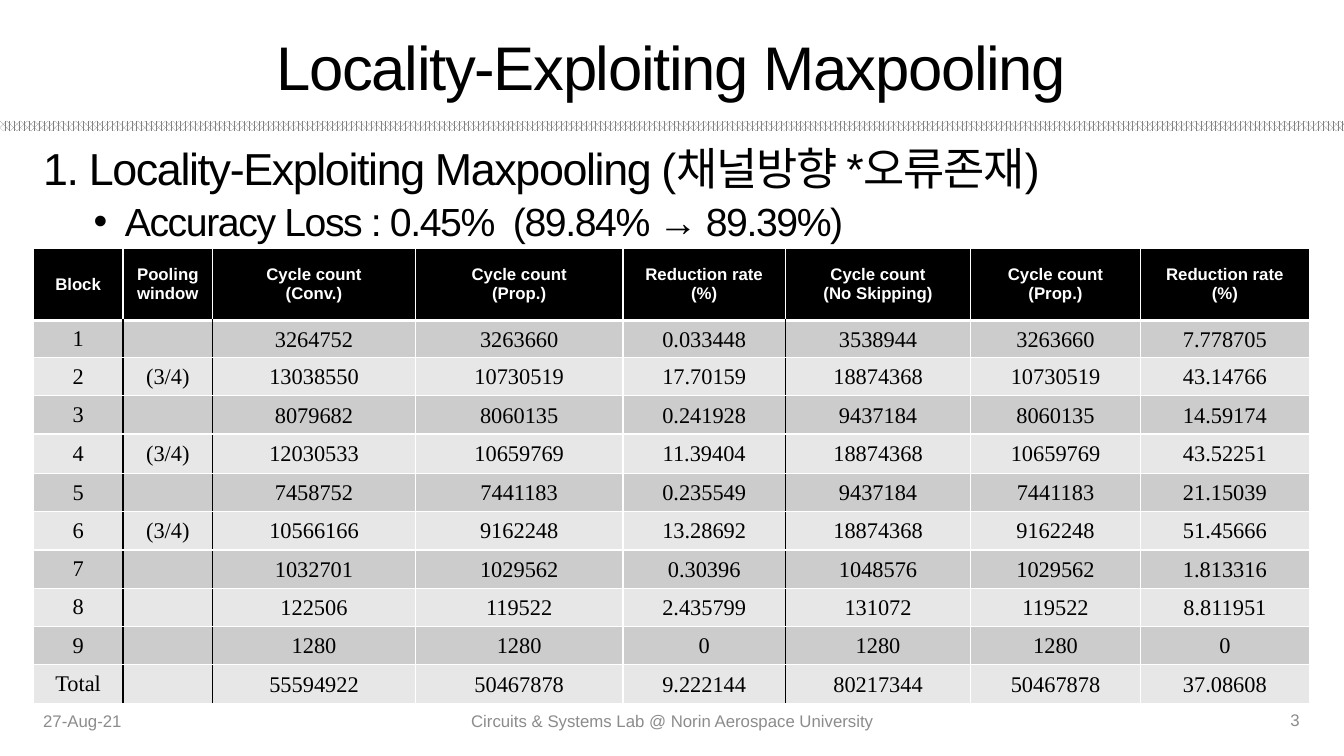
from dataclasses import dataclass

import lxml.etree
import pptx
import pptx.dml.color
import pptx.enum.dml
import pptx.enum.shapes
import pptx.enum.text
import pptx.oxml.ns
import pptx.util

Inches = pptx.util.Inches
Pt = pptx.util.Pt
ALIGN = pptx.enum.text.PP_ALIGN
MIDDLE = pptx.enum.text.MSO_ANCHOR.MIDDLE
TOP = pptx.enum.text.MSO_ANCHOR.TOP
BLACK, WHITE, GRAY = "000000", "FFFFFF", "8C8C8C"
ODD_BAND, EVEN_BAND = "CCCCCC", "E7E7E7"


@dataclass
class Label:
    text: str
    left: float
    top: float
    width: float
    height: float
    size: float
    align: ALIGN
    color: str = BLACK
    tracking: float = 0


def rgb(color: str):
    return pptx.dml.color.RGBColor.from_string(color)


def add_xml(parent, tag: str, **attributes):
    return lxml.etree.SubElement(parent, pptx.oxml.ns.qn(tag), attributes)


def write(paragraph, text: str, *, size: float, font: str = "Arial", color: str = BLACK,
          bold: bool = False, align=ALIGN.LEFT, tracking: float = 0,
          line_spacing: float = 1.0, before: float = 0) -> None:
    paragraph.alignment = align
    paragraph.line_spacing = line_spacing
    paragraph.space_before = Pt(before)
    run = paragraph.add_run()
    run.text = text
    run.font.size = Pt(size)
    run.font.name = font
    run.font.bold = bold
    run.font.color.rgb = rgb(color)
    if tracking:
        run._r.get_or_add_rPr().set("spc", str(int(tracking * 100)))


def add_frame(left: float, top: float, width: float, height: float, anchor):
    frame = slide.shapes.add_textbox(Inches(left), Inches(top), Inches(width), Inches(height)).text_frame
    frame.word_wrap = True
    frame.vertical_anchor = anchor
    return frame


def add_label(label: Label) -> None:
    frame = add_frame(label.left, label.top, label.width, label.height, MIDDLE)
    write(frame.paragraphs[0], label.text, size=label.size, color=label.color,
          align=label.align, tracking=label.tracking)


def add_borders(cell, row: int, column: int) -> None:
    """White rules, with black ones around the grouped columns of the body."""
    in_body = row > 0
    sides = {
        "L": (BLACK if in_body and column - 1 in GROUP_ENDS else WHITE, 1),
        "R": (BLACK if in_body and column in GROUP_ENDS else WHITE, 1),
        "T": (WHITE, 3 if row == 1 else 1),
        "B": (WHITE, 1 if in_body else 3),
    }
    properties = cell._tc.get_or_add_tcPr()
    for side, (color, width) in sides.items():
        line = add_xml(properties, f"a:ln{side}", w=str(Pt(width)))
        add_xml(add_xml(line, "a:solidFill"), "a:srgbClr", val=color)


def fill_cell(cell, text: str, row: int, column: int) -> None:
    add_borders(cell, row, column)
    cell.fill.solid()
    cell.fill.fore_color.rgb = rgb(BLACK if row == 0 else ODD_BAND if row % 2 else EVEN_BAND)
    cell.vertical_anchor = MIDDLE
    if row and (column >= 2 or not text):
        cell.margin_left = cell.margin_right = cell.margin_top = Inches(0.01)
        cell.margin_bottom = 0
    if not text:
        return
    style = (dict(size=16, font="Times New Roman") if row
             else dict(size=12, color=WHITE, bold=True))
    for index, line in enumerate(text.split("\n")):
        frame = cell.text_frame
        paragraph = frame.add_paragraph() if index else frame.paragraphs[0]
        write(paragraph, line, align=ALIGN.CENTER, **style)


prs = pptx.Presentation()
prs.slide_width, prs.slide_height = Inches(13.33), Inches(7.5)
slide = prs.slides.add_slide(prs.slide_layouts[6])

# Hatched rule under the title
title_rule = slide.shapes.add_shape(pptx.enum.shapes.MSO_SHAPE.RECTANGLE,
                                    0, Inches(1.2), Inches(13.33), Inches(0.1))
title_rule.shadow.inherit = False
title_rule.line.fill.background()
title_rule.fill.patterned()
title_rule.fill.pattern = pptx.enum.dml.MSO_PATTERN.PERCENT_70
title_rule.fill.fore_color.rgb = rgb("808080")
title_rule.fill.back_color.rgb = rgb(WHITE)

# Heading and accuracy bullet
body = add_frame(0.33, 1.41, 12.66, 5.35, TOP)
write(body.paragraphs[0], "1. Locality-Exploiting Maxpooling (채널방향 *오류존재)",
      size=32, tracking=-1, line_spacing=0.9, before=10)
accuracy = body.add_paragraph()
write(accuracy, "Accuracy Loss : 0.45%  (89.84% → 89.39%)",
      size=28, tracking=-1, line_spacing=0.9, before=5)
accuracy_format = accuracy._p.get_or_add_pPr()
accuracy_format.set("marL", str(Inches(0.81)))
accuracy_format.set("indent", str(Inches(-0.31)))
add_xml(accuracy_format, "a:buFont", typeface="Arial")
add_xml(accuracy_format, "a:buChar", char="•")

# Title and footer
for label in (
    Label("27-Aug-21", 0.33, 6.95, 3, 0.4, 12, ALIGN.LEFT, GRAY),
    Label("Circuits & Systems Lab @ Norin Aerospace University",
          4.42, 6.95, 4.5, 0.4, 12, ALIGN.CENTER, GRAY),
    Label("3", 9.95, 6.94, 3.04, 0.4, 12, ALIGN.RIGHT, GRAY),
    Label("Locality-Exploiting Maxpooling", 0.33, 0.22, 12.66, 0.87, 44, ALIGN.CENTER, tracking=-1),
):
    add_label(label)

# Cycle counts per block
GROUP_ENDS = (0, 1, 4)
COLUMN_WIDTHS = (0.89, 0.89, 2.01, 2.06, 1.61, 1.84, 1.68, 1.68)
ROW_HEIGHTS = (0.72, 0.34, 0.38, 0.38, 0.39) + (0.38,) * 6
HEADER = ("Block", "Pooling window", "Cycle count\n(Conv.)", "Cycle count\n(Prop.)",
          "Reduction rate\n(%)", "Cycle count\n(No Skipping)", "Cycle count\n(Prop.)",
          "Reduction rate\n(%)")
# Block, pooling window, conventional, proposed, reduction, no skipping, reduction
RESULTS = (
    ("1", "", "3264752", "3263660", "0.033448", "3538944", "7.778705"),
    ("2", "(3/4)", "13038550", "10730519", "17.70159", "18874368", "43.14766"),
    ("3", "", "8079682", "8060135", "0.241928", "9437184", "14.59174"),
    ("4", "(3/4)", "12030533", "10659769", "11.39404", "18874368", "43.52251"),
    ("5", "", "7458752", "7441183", "0.235549", "9437184", "21.15039"),
    ("6", "(3/4)", "10566166", "9162248", "13.28692", "18874368", "51.45666"),
    ("7", "", "1032701", "1029562", "0.30396", "1048576", "1.813316"),
    ("8", "", "122506", "119522", "2.435799", "131072", "8.811951"),
    ("9", "", "1280", "1280", "0", "1280", "0"),
    ("Total", "", "55594922", "50467878", "9.222144", "80217344", "37.08608"),
)
# The proposed count is shown again beside the no-skipping count
rows = [HEADER] + [(*result[:6], result[3], result[6]) for result in RESULTS]
cycle_table = slide.shapes.add_table(len(rows), len(HEADER), Inches(0.33), Inches(2.46),
                                     Inches(12.66), Inches(4.49)).table
for column, width in zip(cycle_table.columns, COLUMN_WIDTHS):
    column.width = Inches(width)
for row, height in zip(cycle_table.rows, ROW_HEIGHTS):
    row.height = Inches(height)
for row_index, texts in enumerate(rows):
    for column_index, text in enumerate(texts):
        fill_cell(cycle_table.cell(row_index, column_index), text, row_index, column_index)

prs.save("out.pptx")
